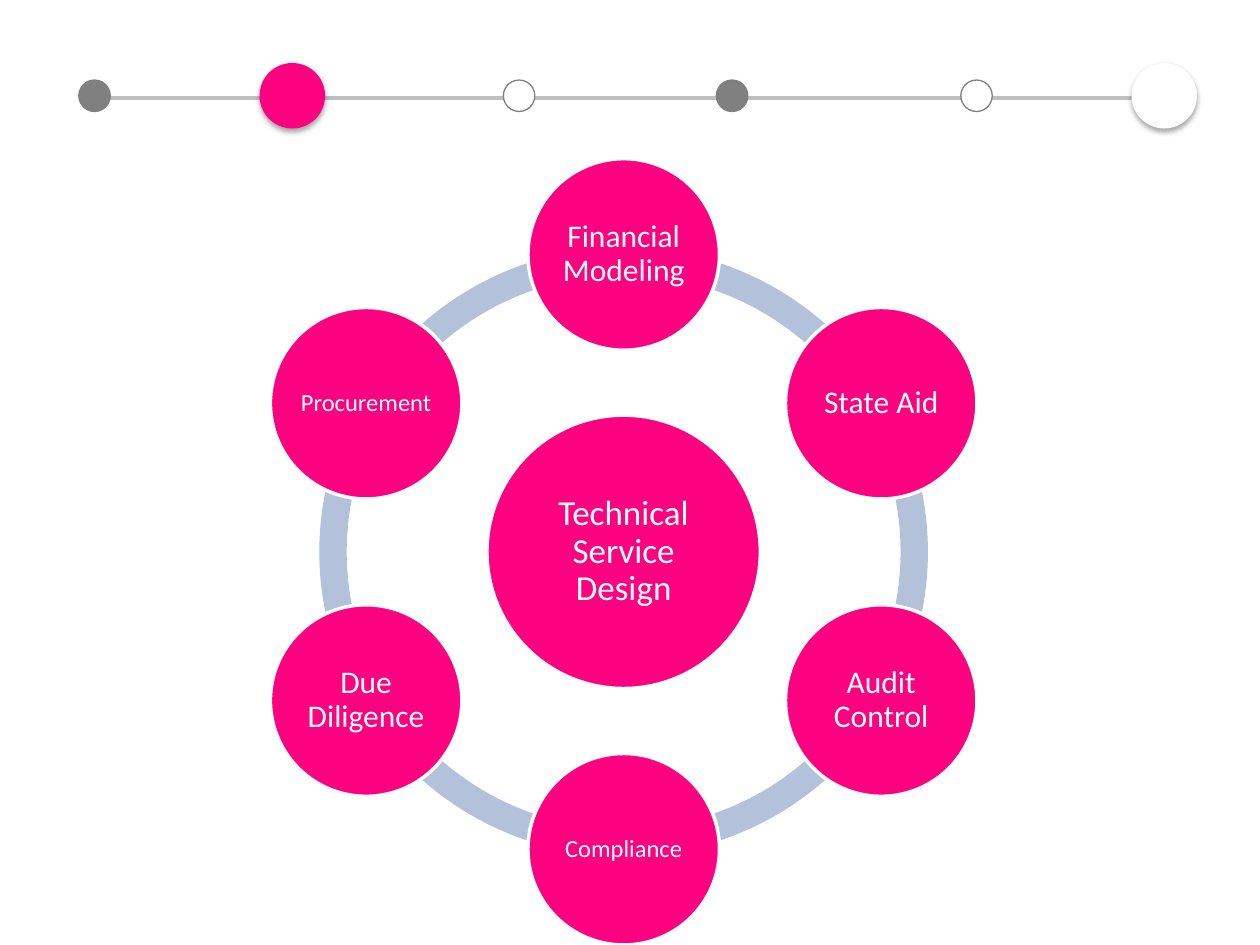
import math
from dataclasses import dataclass

import pptx
import pptx.dml.color
import pptx.enum.shapes
import pptx.enum.text
import pptx.oxml
import pptx.oxml.ns
import pptx.shapes.autoshape
import pptx.shapes.shapetree
import pptx.util
from pptx.util import Inches

Shape = pptx.shapes.autoshape.Shape
GroupShapes = pptx.shapes.shapetree.GroupShapes
MSO_SHAPE = pptx.enum.shapes.MSO_SHAPE

PINK = "FC0280"
WHITE = "FFFFFF"
GRAY = "808080"
DARK_GRAY = "7F7F7F"
RING_BLUE = "B3C1DB"
TRACK_GRAY = "BFBFBF"
FONT = "Calibri"

WHEEL_X, WHEEL_Y = 4.95, 4.38
ORBIT_RADIUS = 2.36
RING_SIZE = 4.83
HUB_SIZE = 2.17
TOPIC_SIZE = 1.52

TRACK_Y = 0.78
STOP_Y = 0.76
SMALL_STOP = 0.25
LARGE_STOP = 0.52


@dataclass(frozen=True)
class Topic:
    label: str
    font_size: int = 18
    inset: float = 0.03


@dataclass(frozen=True)
class Stop:
    x: float
    fill: str
    outline: str | None = None  # stops without an outline are large and raised


HUB = Topic("Technical Service Design", 20)
TOPICS = [  # clockwise from the top
    Topic("Financial Modeling"),
    Topic("State Aid"),
    Topic("Audit Control"),
    Topic("Compliance", 14, 0.02),
    Topic("Due Diligence"),
    Topic("Procurement", 14, 0.02),
]
STOPS = [
    Stop(2.32, PINK),
    Stop(0.75, GRAY, DARK_GRAY),
    Stop(4.12, WHITE, GRAY),
    Stop(5.81, GRAY, DARK_GRAY),
    Stop(9.24, WHITE),
    Stop(7.75, WHITE, DARK_GRAY),
]


def rgb(color: str) -> pptx.dml.color.RGBColor:
    return pptx.dml.color.RGBColor.from_string(color)


def add_centered(shapes: GroupShapes, kind: MSO_SHAPE, x: float, y: float,
                 size: float, fill: str, outline: str | None = None,
                 outline_width: float = 0.75) -> Shape:
    """Add a square-framed shape whose centre is at x, y."""
    shape = shapes.add_shape(kind, Inches(x - size / 2), Inches(y - size / 2),
                             Inches(size), Inches(size))
    shape.shadow.inherit = False
    shape.fill.solid()
    shape.fill.fore_color.rgb = rgb(fill)
    if outline:
        shape.line.color.rgb = rgb(outline)
        shape.line.width = pptx.util.Pt(outline_width)
    else:
        shape.line.fill.background()
    return shape


def add_topic(shapes: GroupShapes, topic: Topic, x: float, y: float, size: float) -> None:
    circle = add_centered(shapes, MSO_SHAPE.OVAL, x, y, size, PINK, WHITE, 2)
    frame = circle.text_frame
    frame.text = topic.label
    frame.word_wrap = True
    frame.vertical_anchor = pptx.enum.text.MSO_ANCHOR.MIDDLE
    frame.margin_left = frame.margin_right = Inches(topic.inset)
    frame.margin_top = frame.margin_bottom = Inches(topic.inset)
    paragraph = frame.paragraphs[0]
    paragraph.alignment = pptx.enum.text.PP_ALIGN.CENTER
    paragraph.line_spacing = 0.9
    font = paragraph.runs[0].font
    font.name = FONT
    font.size = pptx.util.Pt(topic.font_size)
    font.color.rgb = rgb(WHITE)


def add_wheel(shapes: GroupShapes) -> None:
    step = 360 // len(TOPICS)
    angles = [-90 + step * i for i in range(len(TOPICS))]
    for angle in angles:
        arc = add_centered(shapes, MSO_SHAPE.BLOCK_ARC, WHEEL_X, WHEEL_Y,
                           RING_SIZE, RING_BLUE)
        # Adjustments count 100000 to the unit, angles 60000 to the degree.
        arc.adjustments[0] = angle % 360 * 0.6
        arc.adjustments[1] = (angle + step) % 360 * 0.6
        arc.adjustments[2] = 0.045
    add_topic(shapes, HUB, WHEEL_X, WHEEL_Y, HUB_SIZE)
    for topic, angle in zip(TOPICS, angles):
        x = WHEEL_X + ORBIT_RADIUS * math.cos(math.radians(angle))
        y = WHEEL_Y + ORBIT_RADIUS * math.sin(math.radians(angle))
        add_topic(shapes, topic, x, y, TOPIC_SIZE)


def add_drop_shadow(shape: Shape) -> None:
    effects = shape.element.spPr.find(pptx.oxml.ns.qn("a:effectLst"))
    effects.append(pptx.oxml.parse_xml(
        f'<a:outerShdw {pptx.oxml.ns.nsdecls("a")} blurRad="{pptx.util.Pt(3.1)}" '
        f'dist="{pptx.util.Pt(1.8)}" dir="5400000" rotWithShape="0">'
        '<a:srgbClr val="000000"><a:alpha val="35000"/></a:srgbClr></a:outerShdw>'))


def add_progress_track(shapes: GroupShapes) -> None:
    first, last = min(stop.x for stop in STOPS), max(stop.x for stop in STOPS)
    track = shapes.add_connector(pptx.enum.shapes.MSO_CONNECTOR.STRAIGHT,
                                 Inches(first), Inches(TRACK_Y),
                                 Inches(last), Inches(TRACK_Y))
    track.line.color.rgb = rgb(TRACK_GRAY)
    track.line.width = pptx.util.Pt(2.25)
    track.element.spPr.append(pptx.oxml.parse_xml(
        f'<a:effectLst {pptx.oxml.ns.nsdecls("a")}/>'))
    for stop in STOPS:
        size = SMALL_STOP if stop.outline else LARGE_STOP
        circle = add_centered(shapes, MSO_SHAPE.OVAL, stop.x, STOP_Y, size,
                              stop.fill, stop.outline)
        if not stop.outline:
            add_drop_shadow(circle)


def main() -> None:
    deck = pptx.Presentation()
    deck.slide_width, deck.slide_height = Inches(10), Inches(7.5)
    blank_layout = deck.slide_layouts[6]
    slide = deck.slides.add_slide(blank_layout)
    add_wheel(slide.shapes.add_group_shape().shapes)
    add_progress_track(slide.shapes.add_group_shape().shapes)
    deck.save("out.pptx")


if __name__ == "__main__":
    main()
